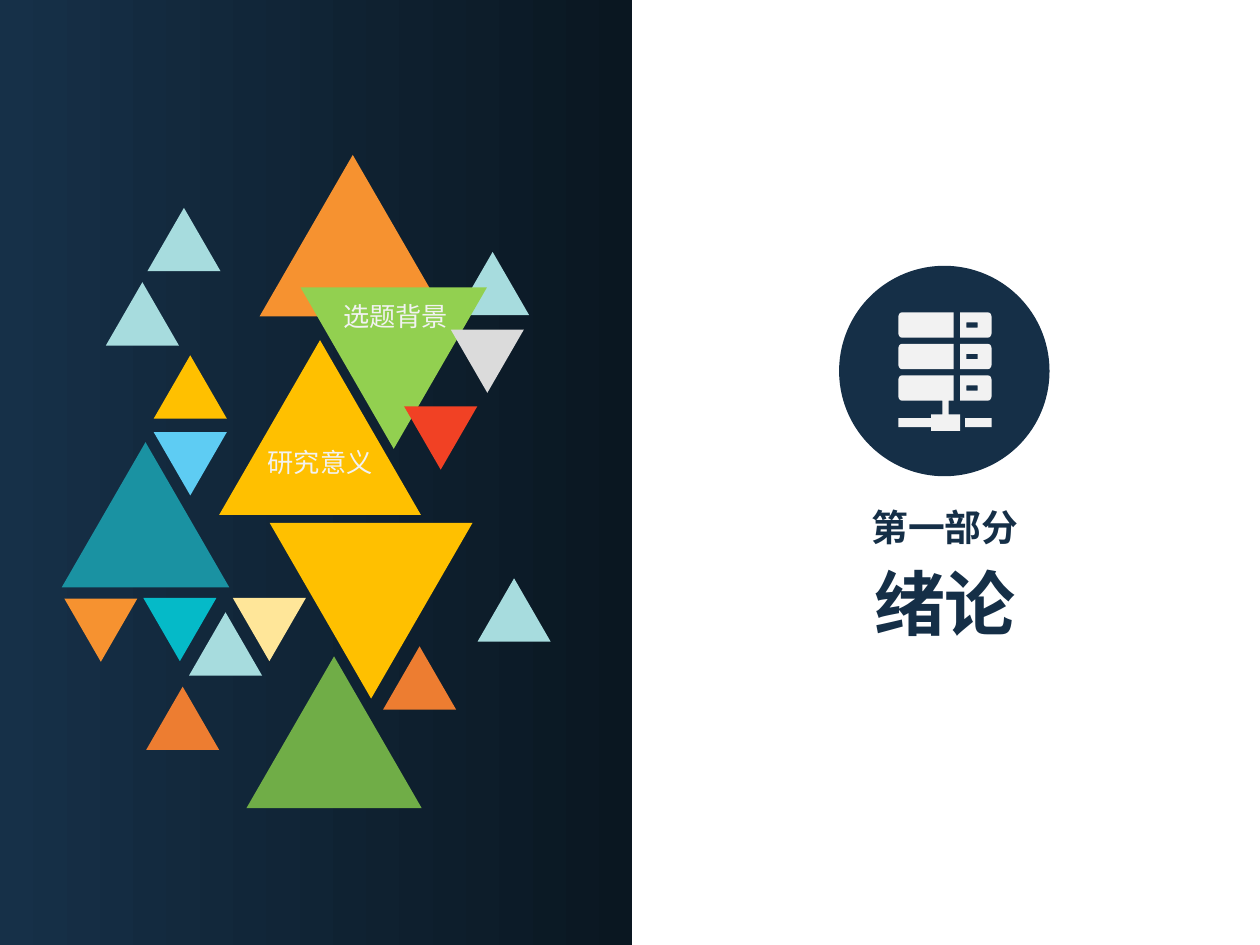
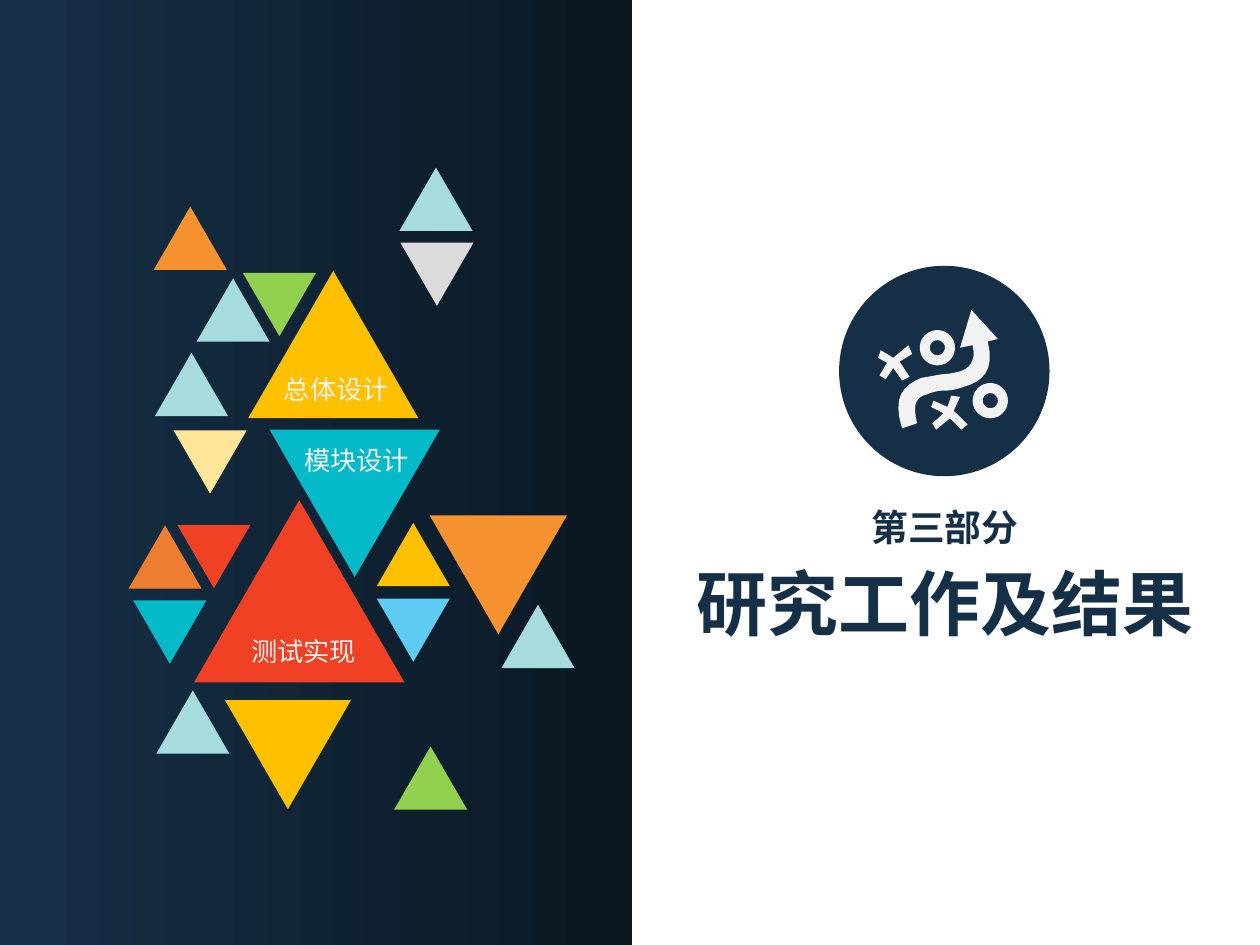
from dataclasses import dataclass
from math import cos, sin, tau

from lxml import etree
from pptx import Presentation
from pptx.dml.color import RGBColor
from pptx.enum import shapes, text
from pptx.oxml.ns import qn


@dataclass(frozen=True)
class Theme:
    font: str = "Noto Sans CJK SC"
    title_size: float = 40.5
    part_size: float = 21
    label_size: float = 15
    navy: str = "152F47"
    band_start: str = "163048"
    band_end: str = "0A1721"
    pale: str = "F2F2F2"
    mist: str = "A7DCDE"
    cream: str = "FFE699"
    gold: str = "FFC000"
    teal: str = "1A92A2"
    aqua: str = "05BAC8"
    sky: str = "5ECCF3"
    rust: str = "ED7D31"
    orange: str = "F69230"
    lime: str = "92D050"
    green: str = "70AD47"
    silver: str = "DBDBDB"
    red: str = "F14124"


T = Theme()
prs = Presentation()
COL = 914400  # the slide is a grid of 10 columns by 7.5 rows
FINE = 1000  # freeform points are whole numbers, so each column has 1000 steps
prs.slide_width, prs.slide_height = 10 * COL, int(7.5 * COL)
BAND_WIDTH = 5.02
RIGHT_CENTRE = 7.5


def write(box, words, *, centre, top, height, size, color, bold=False):
    """Set one centred line in a box as wide as its characters plus insets."""
    width = len(words) * size / 72 + 0.23
    box.left, box.top = int((centre - width / 2) * COL), int(top * COL)
    box.width, box.height = int(width * COL), int(height * COL)
    frame = box.text_frame
    frame.word_wrap = False
    frame.auto_size = text.MSO_AUTO_SIZE.SHAPE_TO_FIT_TEXT
    frame.vertical_anchor = text.MSO_ANCHOR.TOP
    line = frame.paragraphs[0]
    line.alignment = text.PP_ALIGN.CENTER
    run = line.add_run()
    run.text = words
    run.font.name, run.font.size, run.font.bold = T.font, int(size * 12700), bold
    run.font.color.rgb = RGBColor.from_string(color)
    etree.SubElement(run.font._element, qn("a:ea"), typeface=T.font)


def paint(shape, color):
    """Give a shape a flat fill without line or shadow."""
    shape.shadow.inherit = False
    shape.line.fill.background()
    shape.fill.solid()
    shape.fill.fore_color.rgb = RGBColor.from_string(color)


# Server icon: three racks with a slot each, standing on a network cable
server = []
for y in (2.48, 2.73, 2.98):
    b = y + 0.2
    server += [
        [(7.57, y), (7.57, b), (7.16, b), (7.14, b, 7.13, b - 0.02, 7.13, b - 0.04),
         (7.13, y + 0.04), (7.13, y + 0.02, 7.14, y, 7.16, y)],
        [(7.62, y), (7.62, b), (7.84, b), (7.86, b, 7.87, b - 0.02, 7.87, b - 0.04),
         (7.87, y + 0.04), (7.87, y + 0.02, 7.86, y, 7.84, y)],
        [(7.67, y + 0.08), (7.76, y + 0.08), (7.76, y + 0.12), (7.67, y + 0.12)],
    ]
server += [
    [(7.48, 3.18), (7.53, 3.18), (7.53, 3.29), (7.62, 3.29), (7.62, 3.42),
     (7.39, 3.42), (7.39, 3.39), (7.13, 3.39), (7.13, 3.32), (7.39, 3.32),
     (7.39, 3.29), (7.48, 3.29)],
    [(7.66, 3.32), (7.87, 3.32), (7.87, 3.39), (7.66, 3.39)],
]

# Tactics icon: a winding arrow, two crosses and two rings
tactics = [
    [(7.16, 3.4), (7.08, 3.15, 7.17, 3.06, 7.31, 3), (7.37, 2.99, 7.42, 2.98, 7.48, 2.97),
     (7.52, 2.97, 7.57, 2.96, 7.61, 2.95), (7.69, 2.93, 7.75, 2.87, 7.72, 2.74),
     (7.62, 2.76), (7.71, 2.46), (7.92, 2.69), (7.84, 2.71),
     (7.9, 2.95, 7.79, 3.03, 7.65, 3.07), (7.6, 3.09, 7.54, 3.1, 7.5, 3.1),
     (7.45, 3.1, 7.4, 3.11, 7.36, 3.13), (7.27, 3.15, 7.24, 3.21, 7.28, 3.36)],
    [(6.99, 2.78), (6.97, 2.84), (7.04, 2.88), (6.98, 2.98), (7.03, 3.01), (7.09, 2.92),
     (7.16, 3.02), (7.22, 2.99), (7.14, 2.87), (7.24, 2.81), (7.21, 2.74), (7.09, 2.84)],
    [(7.62, 3.15), (7.55, 3.14), (7.52, 3.23), (7.41, 3.18), (7.39, 3.23), (7.49, 3.28),
     (7.4, 3.36), (7.43, 3.41), (7.54, 3.32), (7.63, 3.41), (7.68, 3.37), (7.57, 3.26)],
]
for x, y in ((7.86, 3.18), (7.44, 2.76)):
    # the hole runs against the rim
    for radius, direction in ((0.14, 1), (0.06, -1)):
        tactics.append([(x + radius * cos(tau * i / 40), y + direction * radius * sin(tau * i / 40))
                        for i in range(40)])

# Triangles: left, top, width, turn in degrees, colour
S = 0.58
sections = [
    dict(part="第一部分", title="绪论", icon=server,
         triangles=[
             (0.84, 2.24, S, 0, T.mist), (3.62, 2, S, 0, T.mist),
             (1.92, 4.62, S, 60, T.cream), (1.74, 2.7, 1.6, 0, T.gold),
             (0.49, 3.51, 1.33, 0, T.teal), (1.5, 4.86, S, 0, T.mist),
             (1.16, 5.45, S, 0, T.rust), (2.06, 1.23, 1.48, 0, T.orange),
             (1.17, 1.65, S, 0, T.mist), (2.57, 1.96, 1.48, 60, T.lime),
             (3.65, 2.49, S, 60, T.silver), (1.21, 4.62, S, 60, T.aqua),
             (0.51, 4.75, S, 180, T.orange), (1.22, 2.82, S, 0, T.gold),
             (1.22, 3.43, S, 180, T.sky), (3.28, 3.1, S, 60, T.red),
             (2.13, 5.51, 1.39, 120, T.green), (3.79, 4.59, S, 0, T.mist),
             (2.14, 4.15, 1.61, 180, T.gold), (3.04, 5.13, S, 0, T.rust)],
         labels=[("研究意义", 2.54, 3.49), ("选题背景", 3.14, 2.33)]),
    dict(part="第三部分", title="研究工作及结果", icon=tactics,
         triangles=[
             (1.23, 2.8, S, 0, T.mist), (3.17, 1.33, S, 0, T.mist),
             (1.45, 3.29, S, 60, T.cream), (2.14, 3.41, 1.35, 180, T.aqua),
             (1.54, 3.97, 1.67, 0, T.red), (1.24, 5.48, S, 0, T.mist),
             (1.02, 4.17, S, 0, T.rust), (1.22, 1.64, S, 0, T.orange),
             (1.56, 2.21, S, 0, T.mist), (2, 2.04, S, 60, T.lime),
             (3.25, 1.8, S, 60, T.silver), (1.13, 4.64, S, 60, T.aqua),
             (3.41, 4.09, 1.09, 180, T.orange), (2.99, 4.15, S, 0, T.gold),
             (2.99, 4.75, S, 180, T.sky), (1.48, 4.04, S, 60, T.red),
             (1.91, 5.34, 1, 60, T.gold), (3.98, 4.8, S, 0, T.mist),
             (1.97, 2.15, 1.35, 0, T.gold), (3.2, 6.05, S, 120, T.lime)],
         labels=[("总体设计", 2.67, 2.91), ("模块设计", 2.83, 3.48), ("测试实现", 2.41, 4.99)]),
]

layout = prs.slide_layouts[5]  # title only
slides = [prs.slides.add_slide(layout) for _ in sections]

# Shared dark band, kept in the layout
band = slides[0].shapes.add_shape(shapes.MSO_SHAPE.RECTANGLE, 0, 0,
                                  int(BAND_WIDTH * COL), prs.slide_height)
paint(band, T.band_start)
band.fill.gradient()
band.fill.gradient_angle = 0
for stop, position, color in zip(band.fill.gradient_stops, (0, 1), (T.band_start, T.band_end)):
    stop.position = position
    stop.color.rgb = RGBColor.from_string(color)
layout.shapes.element.insert(2, band.element)

for slide, section in zip(slides, sections):
    # Section heading
    write(slide.shapes.title, section["title"], centre=RIGHT_CENTRE, top=4.39, height=0.78,
          size=T.title_size, color=T.navy, bold=True)
    write(slide.shapes.add_textbox(0, 0, 0, 0), section["part"], centre=RIGHT_CENTRE,
          top=3.96, height=0.45, size=T.part_size, color=T.navy, bold=True)

    # Round badge with its icon
    badge = slide.shapes.add_group_shape().shapes
    disc = badge.add_shape(shapes.MSO_SHAPE.OVAL, int(6.66 * COL), int(2.11 * COL),
                           int(1.67 * COL), int(1.67 * COL))
    paint(disc, T.navy)
    outline = None
    for contour in section["icon"]:
        points = []
        for step in contour:
            if len(step) == 2:
                points.append(step)
                continue
            # a six-number step is a cubic curve from the last point
            x0, y0 = points[-1]
            x1, y1, x2, y2, x3, y3 = step
            for t in (i / 8 for i in range(1, 9)):
                a, b, c, d = (1 - t) ** 3, 3 * t * (1 - t) ** 2, 3 * t * t * (1 - t), t ** 3
                points.append((a * x0 + b * x1 + c * x2 + d * x3,
                               a * y0 + b * y1 + c * y2 + d * y3))
        points = [(round(x * FINE), round(y * FINE)) for x, y in points]
        if outline is None:
            outline = badge.build_freeform(*points[0], scale=COL / FINE)
        else:
            outline.move_to(*points[0])
        outline.add_line_segments(points[1:], close=True)
    paint(outline.convert_to_shape(), T.pale)

    # Equilateral triangles on the band
    for left, top, width, turn, color in section["triangles"]:
        triangle = slide.shapes.add_shape(
            shapes.MSO_SHAPE.ISOSCELES_TRIANGLE, int(left * COL), int(top * COL),
            int(width * COL), int(width * COL * sin(tau / 6)))
        triangle.rotation = turn
        paint(triangle, color)

    # Topic labels
    for words, centre, top in section["labels"]:
        write(slide.shapes.add_textbox(0, 0, 0, 0), words, centre=centre, top=top,
              height=0.35, size=T.label_size, color=T.pale)

prs.save("out.pptx")
